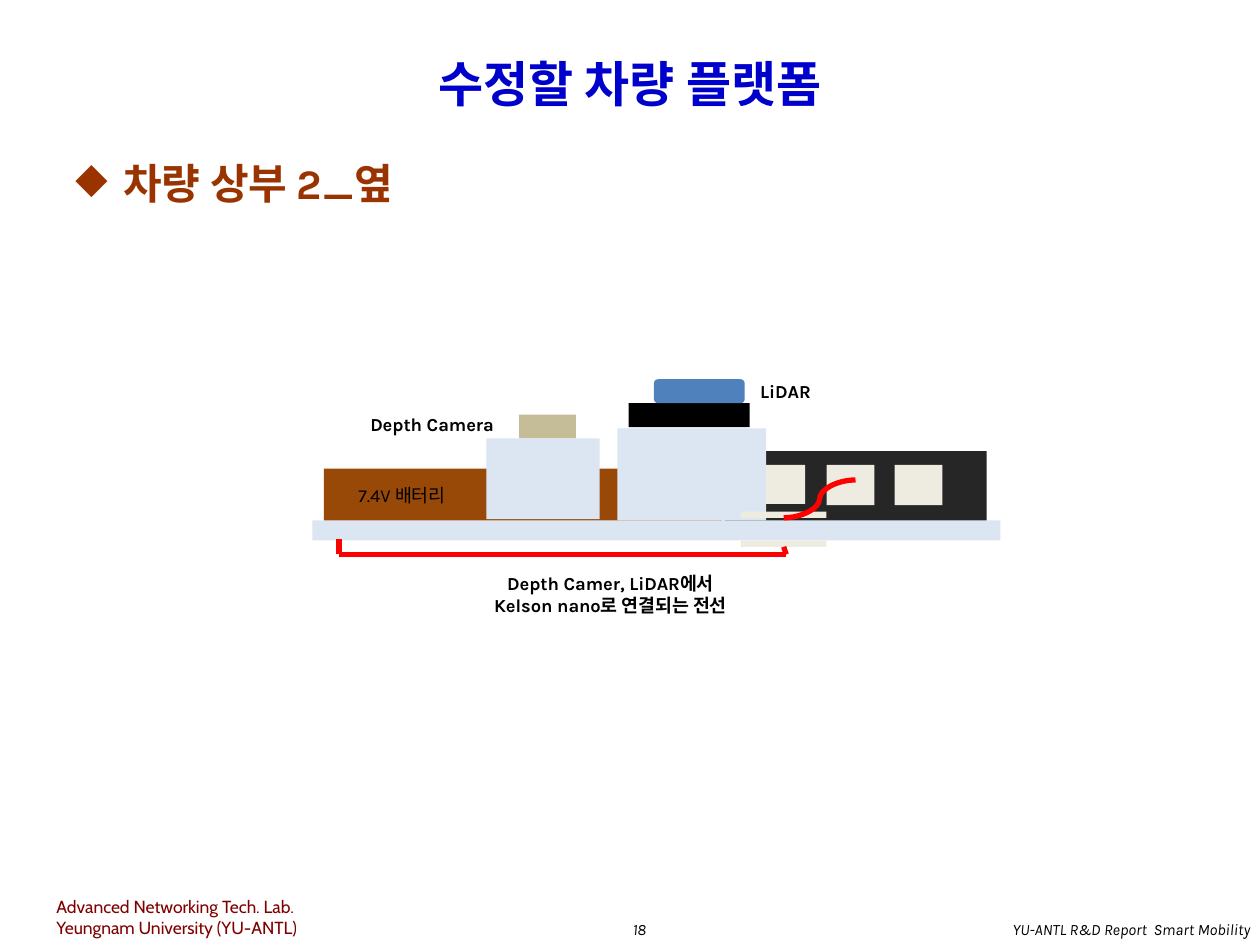
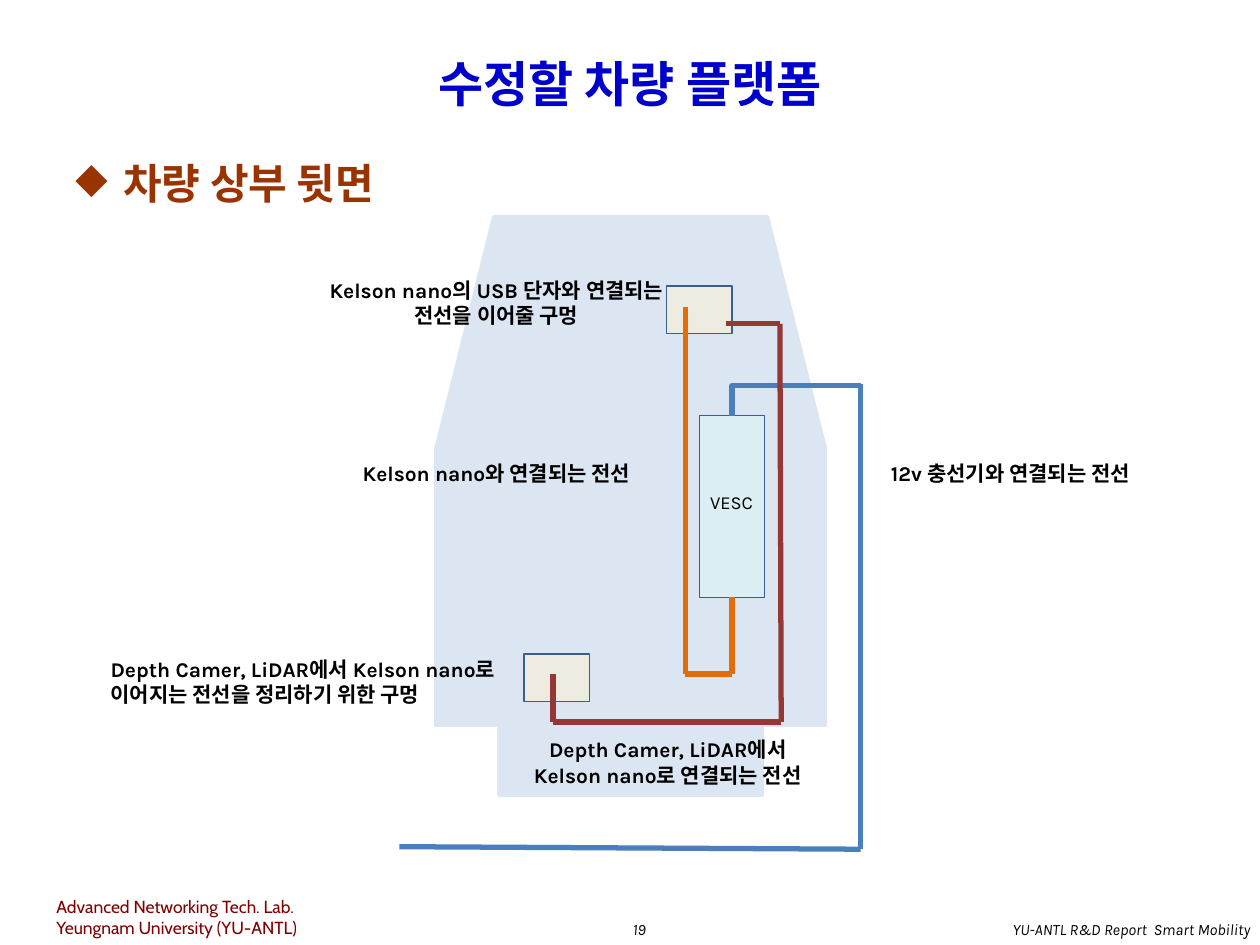
"""Two slides on the planned vehicle platform: side view and rear view of the upper deck."""
from dataclasses import dataclass
from itertools import pairwise

from lxml import etree
from pptx import Presentation
from pptx.dml.color import RGBColor
from pptx.enum import shapes, text
from pptx.oxml.ns import qn
from pptx.util import Inches, Pt


@dataclass(frozen=True)
class Theme:
    body_font: str = "Karla"
    lab_font: str = "Cabin"
    title: str = "0000CC"
    heading: str = "993300"
    lab: str = "800000"
    ink: str = "000000"
    deck: str = "DCE6F2"
    port: str = "EEECE1"
    battery: str = "984807"
    board: str = "262626"
    lidar: str = "4F81BD"
    camera: str = "C4BD97"
    vesc: str = "DBEEF4"
    outline: str = "3A5F8C"
    sensor_wire: str = "FF0000"
    charger_wire: str = "4B7EBC"
    board_wire: str = "E46C0A"
    cable: str = "953735"
    title_size: float = 28
    heading_size: float = 24
    label_size: float = 12
    small_size: float = 10.5
    lab_size: float = 10
    footer_size: float = 9
    wire_width: float = 3


theme = Theme()
left, center, right = text.PP_ALIGN.LEFT, text.PP_ALIGN.CENTER, text.PP_ALIGN.RIGHT
rect, rounded, trapezoid = (
    shapes.MSO_SHAPE.RECTANGLE, shapes.MSO_SHAPE.ROUNDED_RECTANGLE, shapes.MSO_SHAPE.TRAPEZOID)
straight, elbow, curve = (
    shapes.MSO_CONNECTOR.STRAIGHT, shapes.MSO_CONNECTOR.ELBOW, shapes.MSO_CONNECTOR.CURVE)


def write(slide, box, lines, size, align=center, color=theme.ink, font=theme.body_font,
          bold=False, italic=False, bullet=None):
    frame = slide.shapes.add_textbox(*map(Inches, box)).text_frame
    frame.word_wrap = True
    frame.text = lines
    for paragraph in frame.paragraphs:
        paragraph.alignment = align
        if bullet:
            properties = paragraph._p.get_or_add_pPr()
            properties.set("marL", str(Inches(0.38)))
            properties.set("indent", str(-Inches(0.38)))
            etree.SubElement(properties, qn("a:buChar")).set("char", bullet)
        paragraph.font.name = font
        paragraph.font.size = Pt(size)
        paragraph.font.bold = bold
        paragraph.font.italic = italic
        paragraph.font.color.rgb = RGBColor.from_string(color)
    return frame


def wire(slide, color, points, kind=straight):
    segments = []
    for start, end in pairwise(points):
        segment = slide.shapes.add_connector(kind, *map(Inches, start + end))
        segment.line.color.rgb = RGBColor.from_string(color)
        segment.line.width = Pt(theme.wire_width)
        etree.SubElement(segment._element.spPr, qn("a:effectLst"))
        segments.append(segment)
    return segments


side_blocks = [
    (rect, (2.48, 4.13, 5.46, 0.16), theme.deck, None, 0),
    (rect, (2.57, 3.72, 3.16, 0.41), theme.battery, None, 0),
    (rect, (5.75, 3.58, 2.08, 0.55), theme.board, None, 0),
    (rect, (4.9, 3.4, 1.18, 0.73), theme.deck, None, 0),
    (rect, (6.08, 3.69, 0.31, 0.31), theme.port, None, 0),
    *[(rect, (x, 3.69, 0.38, 0.32), theme.port, None, 0) for x in (6.56, 7.1)],
    *[(rect, (5.88, y, 0.68, 0.05), theme.port, None, 0) for y in (4.06, 4.29)],
    (rect, (4.99, 3.2, 0.96, 0.19), theme.ink, None, 0),
    (rounded, (5.19, 3.01, 0.72, 0.19), theme.lidar, None, 0),
    (rect, (4.12, 3.29, 0.45, 0.19), theme.camera, None, 0),
    (rect, (3.86, 3.48, 0.9, 0.64), theme.deck, None, 0),
]
rear_blocks = [
    (rect, (3.46, 3.56, 3.09, 2.2), theme.deck, theme.deck, 2),
    (trapezoid, (3.46, 1.72, 3.09, 1.84), theme.deck, theme.deck, 2),
    (rect, (3.96, 5.77, 2.09, 0.54), theme.deck, theme.deck, 2),
    *[(rect, (x, y, 0.52, 0.38), theme.port, theme.outline, 0.75)
      for x, y in ((5.29, 2.27), (4.16, 5.19))],
    (rect, (5.55, 3.3, 0.52, 1.44), theme.vesc, theme.outline, 0.5),
]

sensor_cable = "Depth Camer, LiDAR에서 Kelson nano로 연결되는 전선"
side_labels = [
    ((5.72, 2.97, 1.03, 0.28), "LiDAR", theme.small_size, center, True),
    ((2.76, 3.23, 1.34, 0.28), "Depth Camera", theme.small_size, center, True),
    ((3.75, 4.49, 2.19, 0.45), sensor_cable, theme.small_size, center, True),
    ((2.57, 3.79, 1.24, 0.28), "7.4V 배터리", theme.small_size, center, False),
]
rear_labels = [
    ((5.11, 3.85, 1.39, 0.28), "VESC", theme.small_size, center, False),
    ((6.83, 3.61, 2.38, 0.3), "12v 충선기와 연결되는 전선", theme.label_size, center, True),
    ((2.6, 3.61, 2.68, 0.3), "Kelson nano와 연결되는 전선", theme.label_size, center, True),
    ((2.48, 2.15, 2.92, 0.5), "Kelson nano의 USB 단자와 연결되는 전선을 이어줄 구멍",
     theme.label_size, center, True),
    ((0.78, 5.16, 3.34, 0.5),
     "Depth Camer, LiDAR에서 Kelson nano로 이어지는 전선을 정리하기 위한 구멍",
     theme.label_size, left, True),
    ((4.05, 5.8, 2.5, 0.5), sensor_cable, theme.label_size, center, True),
]

deck = Presentation()
deck.slide_width, deck.slide_height = Inches(10), Inches(7.5)
views = [("차량 상부 2_옆", side_blocks, side_labels), ("차량 상부 뒷면", rear_blocks, rear_labels)]

for number, (heading, blocks, labels) in enumerate(views, start=18):
    slide = deck.slides.add_slide(deck.slide_layouts[6])
    write(slide, (0.35, 7.06, 2.14, 0.44),
          "Advanced Networking Tech. Lab.\nYeungnam University (YU-ANTL)",
          theme.lab_size, left, theme.lab, theme.lab_font)
    write(slide, (4.88, 7.25, 0.39, 0.25), str(number), theme.footer_size, italic=True)
    write(slide, (6.59, 7.25, 3.43, 0.25), "YU-ANTL R&D Report  Smart Mobility",
          theme.footer_size, right, italic=True)
    title = write(slide, (0.5, 0.3, 9, 0.72), "수정할 차량 플랫폼", theme.title_size,
                  color=theme.title, bold=True)
    title.vertical_anchor = text.MSO_ANCHOR.MIDDLE
    write(slide, (0.5, 1.2, 9, 5.49), heading, theme.heading_size, left, theme.heading,
          bold=True, bullet="◆")
    for form, box, fill, outline, width in blocks:
        part = slide.shapes.add_shape(form, *map(Inches, box))
        part.shadow.inherit = False
        part.fill.solid()
        part.fill.fore_color.rgb = RGBColor.from_string(fill)
        if outline:
            part.line.color.rgb = RGBColor.from_string(outline)
            part.line.width = Pt(width)
        else:
            part.line.fill.background()
    for box, wording, size, align, bold in labels:
        write(slide, box, wording, size, align, bold=bold)

vesc = part
side, rear = deck.slides

wire(side, theme.sensor_wire, [(6.22, 4.11), (6.79, 3.81)], curve)
wire(side, theme.sensor_wire, [(2.69, 4.28), (2.69, 4.4), (6.24, 4.4), (6.22, 4.34)])

charger_bend, = wire(rear, theme.charger_wire, [(6.83, 3.06), (5.81, 3.3)], elbow)
charger_bend._element.spPr.find(qn("a:prstGeom")).set("prst", "bentConnector2")
charger_bend.end_connect(vesc, 0)
wire(rear, theme.charger_wire, [(6.83, 3.05), (6.83, 6.74), (3.17, 6.72)])
board_feed = wire(rear, theme.board_wire,
                  [(5.81, 4.74), (5.81, 5.35), (5.44, 5.35), (5.44, 2.44)])
board_feed[0].begin_connect(vesc, 2)
wire(rear, theme.cable,
     [(4.39, 5.35), (4.39, 5.73), (6.2, 5.73), (6.19, 2.57), (5.76, 2.57)])

deck.save("out.pptx")
